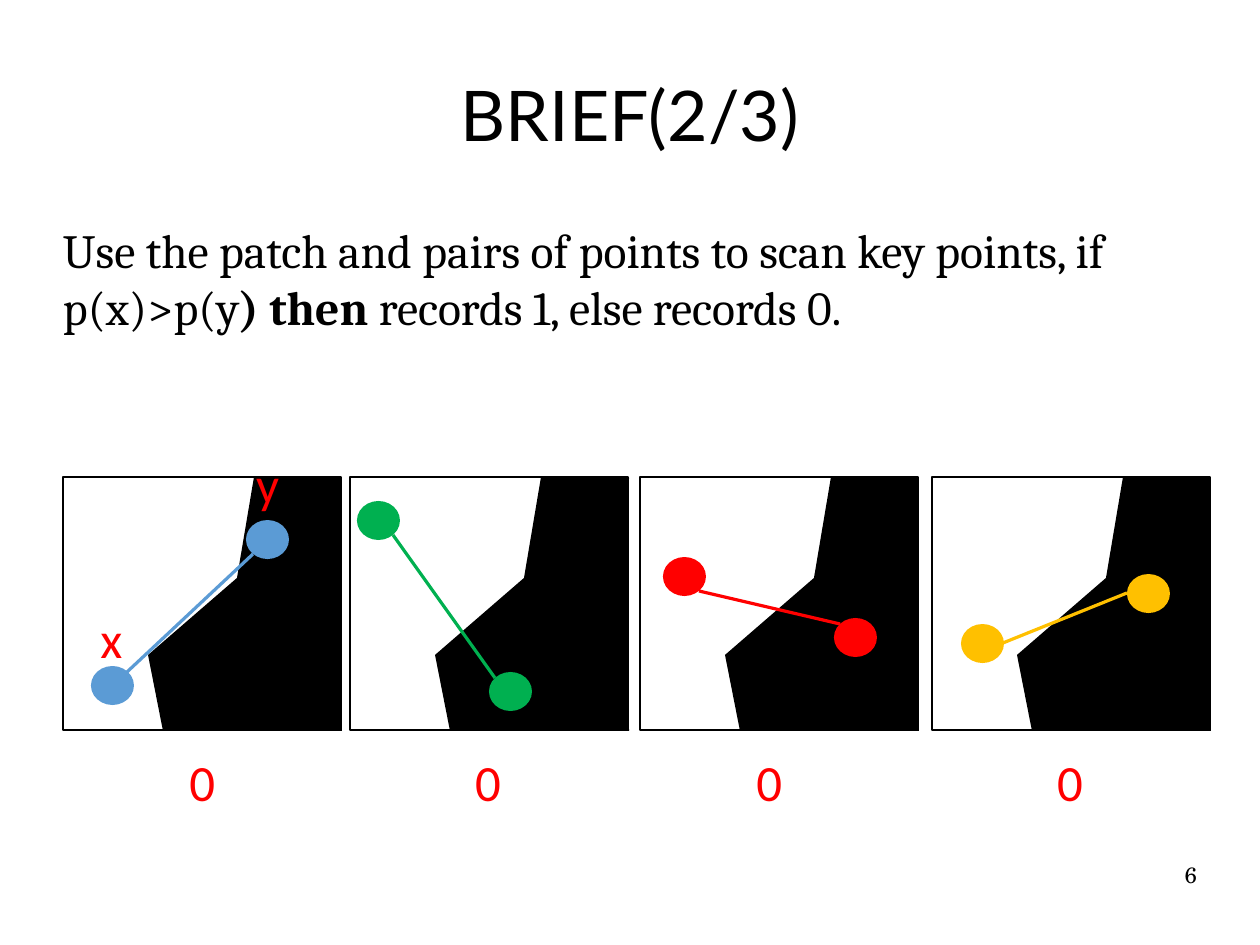
from dataclasses import dataclass

from lxml.etree import SubElement as Sub
from pptx import Presentation
from pptx.dml.color import RGBColor as Rgb
from pptx.enum.shapes import MSO_CONNECTOR as Link, MSO_SHAPE as Kind
from pptx.enum.text import MSO_ANCHOR as Anchor, MSO_AUTO_SIZE as Fit, PP_ALIGN as Align
from pptx.oxml.ns import qn
from pptx.util import Pt

PX = 8000  # EMU in one px; the page is 28 by 21 cm
HUES = {
    "black": "000000",
    "blue": "5B9BD5",
    "green": "00B050",
    "red": "FF0000",
    "gold": "FFC000",
}
TOP, WIDE, HIGH = 477, 278, 253  # patch frame
DOT_W, DOT_H = 43, 39
EDGE = [(278, 70), (279, 254), (100, 254), (85, 178), (174, 101), (191, 0), (279, 1)]

Spot = tuple[int, int]


@dataclass
class Patch:
    left: int
    hue: str
    dots: tuple[Spot, Spot]
    ends: tuple[Spot, Spot]
    mark: int  # left of the result below


@dataclass
class Label:
    text: str
    left: int
    top: int


PATCHES = [
    Patch(63, "blue", ((91, 666), (246, 520)), ((253, 554), (127, 672)), 178),
    Patch(350, "green", ((357, 501), (489, 672)), ((393, 535), (495, 678)), 464),
    Patch(640, "red", ((663, 557), (834, 618)), ((699, 591), (840, 624)), 745),
    Patch(932, "gold", ((961, 624), (1127, 574)), ((1127, 593), (1003, 643)), 1046),
]
LABELS = [Label("0", patch.mark, 745) for patch in PATCHES]
LABELS += [Label("x", 89, 602), Label("y", 245, 447)]


def tint(hue: str) -> Rgb:
    return Rgb.from_string(HUES[hue])


def place(shape, left: int, top: int, wide: int, high: int) -> None:
    shape.left, shape.top = left * PX, top * PX
    shape.width, shape.height = wide * PX, high * PX


def clear(frame) -> None:
    frame.margin_left = frame.margin_right = 0
    frame.margin_top = frame.margin_bottom = 0
    frame.word_wrap = True
    frame.auto_size = Fit.NONE


def style(para, name: str, size: int, hue: str = "black") -> None:
    para.font.name = name
    para.font.size = Pt(size)
    para.font.color.rgb = tint(hue)


def paint(shape, hue: str) -> None:
    shape.shadow.inherit = False
    shape.fill.solid()
    shape.fill.fore_color.rgb = tint(hue)
    shape.line.fill.background()


def draw_patch(shapes, patch: Patch) -> None:
    # Dark region
    spots = [((patch.left + x) * PX, (TOP + y) * PX) for x, y in EDGE]
    pen = shapes.build_freeform(*spots[0])
    pen.add_line_segments(spots[1:], close=True)
    paint(pen.convert_to_shape(), "black")

    # Frame
    box = shapes.add_shape(Kind.RECTANGLE, 0, 0, 0, 0)
    place(box, patch.left, TOP, WIDE, HIGH)
    box.shadow.inherit = False
    box.fill.background()
    box.line.color.rgb = tint("black")
    box.line.width = Pt(1)

    # Point pair
    for left, top in patch.dots:
        dot = shapes.add_shape(Kind.OVAL, 0, 0, 0, 0)
        place(dot, left, top, DOT_W, DOT_H)
        paint(dot, patch.hue)
    (x1, y1), (x2, y2) = patch.ends
    line = shapes.add_connector(Link.STRAIGHT, x1 * PX, y1 * PX, x2 * PX, y2 * PX)
    line.line.color.rgb = tint(patch.hue)
    line.line.width = Pt(2)
    Sub(line._element.spPr, qn("a:effectLst"))


def draw_label(shapes, label: Label) -> None:
    box = shapes.add_textbox(label.left * PX, label.top * PX, 49 * PX, 73 * PX)
    box.text_frame.word_wrap = False
    para = box.text_frame.paragraphs[0]
    para.text = label.text
    style(para, "Calibri", 32, "red")


def main() -> None:
    deck = Presentation()
    deck.slide_width, deck.slide_height = 1260 * PX, 945 * PX
    slide = deck.slides.add_slide(deck.slide_layouts[1])
    shapes = slide.shapes

    # Title
    title = shapes.title
    place(title, 63, 35, 1134, 158)
    clear(title.text_frame)
    title.text_frame.vertical_anchor = Anchor.MIDDLE
    para = title.text_frame.paragraphs[0]
    para.text = "BRIEF(2/3)"
    para.alignment = Align.CENTER
    style(para, "Lato", 44)

    # Rule
    body = slide.placeholders[1]
    place(body, 63, 221, 1134, 547)
    clear(body.text_frame)
    para = body.text_frame.paragraphs[0]
    props = para._p.get_or_add_pPr()
    props.set("marL", "0")
    props.set("indent", "0")
    Sub(props, qn("a:buNone"))
    para.space_before = Pt(0)
    style(para, "Cambria", 30)
    for text, bold in [
        ("Use the patch and pairs of points to scan key points, if p(x)>p(y", False),
        (") then ", True),
        ("records 1, else records 0.", False),
    ]:
        run = para.add_run()
        run.text = text
        run.font.bold = bold

    # Patches and results
    for patch in PATCHES:
        draw_patch(shapes, patch)
    for label in LABELS:
        draw_label(shapes, label)

    # Page number
    page = shapes.add_textbox(0, 0, 0, 0)
    place(page, 903, 861, 294, 65)
    clear(page.text_frame)
    para = page.text_frame.paragraphs[0]
    para.text = "6"
    para.alignment = Align.RIGHT
    style(para, "TeX Gyre Schola", 14)

    deck.save("out.pptx")


if __name__ == "__main__":
    main()
